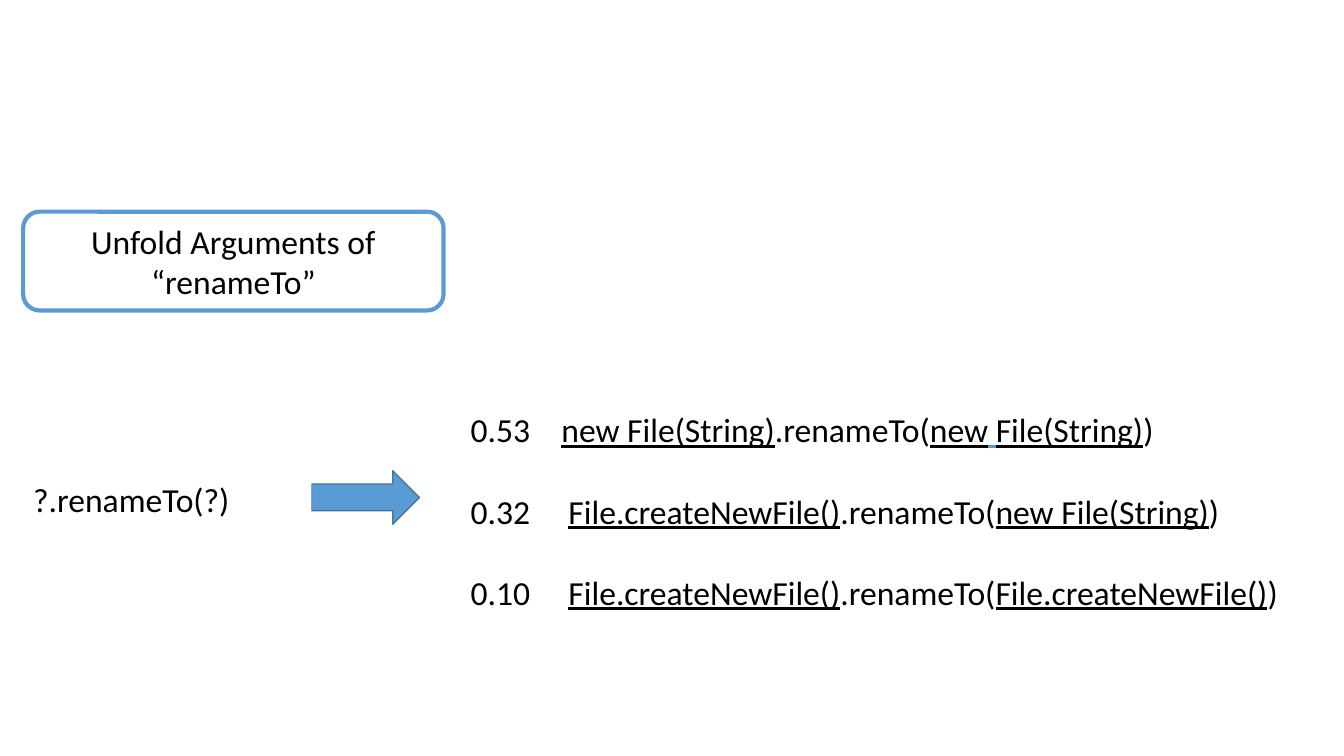
"""Build the slide that unfolds the arguments of renameTo into ranked candidates."""
from typing import NamedTuple

from lxml import etree
from pptx import Presentation
from pptx.dml.color import RGBColor
from pptx.enum.shapes import MSO_SHAPE
from pptx.enum.text import MSO_ANCHOR, PP_ALIGN
from pptx.oxml.ns import qn
from pptx.util import Inches, Pt

ARROW = MSO_SHAPE.RIGHT_ARROW
ROUNDED = MSO_SHAPE.ROUNDED_RECTANGLE
MIDDLE = MSO_ANCHOR.MIDDLE
CENTER = PP_ALIGN.CENTER

BLUE, DARK_BLUE, WHITE, BLACK = "5B9BD5", "43739E", "FFFFFF", "000000"
FONT, TEXT_SIZE, CANDIDATE_GAP = "Calibri", Pt(24), Pt(29.3)


class Box(NamedTuple):
    """Place of an element in inches."""
    left: float
    top: float
    width: float
    height: float

    def lengths(self):
        return [Inches(value) for value in self]


class Piece(NamedTuple):
    """Stretch of code, underlined where an argument was unfolded."""
    text: str
    underlined: bool = False
    color: str = BLACK


class Candidate(NamedTuple):
    """Scored call with the indent of its code in inches."""
    score: str
    indent: float
    receiver: str
    argument: list[Piece]


NEW_FILE, CREATE_FILE = "new File(String)", "File.createNewFile()"
CANDIDATES = [
    Candidate("0.53", 0.9, NEW_FILE,
              [Piece("new", True), Piece(" ", True, BLUE), Piece("File(String)", True)]),
    Candidate("0.32", 0.97, CREATE_FILE, [Piece(NEW_FILE, True)]),
    Candidate("0.10", 0.97, CREATE_FILE, [Piece(CREATE_FILE, True)]),
]


def rgb(color: str) -> RGBColor:
    return RGBColor.from_string(color)


def paint(shape, fill: str) -> None:
    shape.fill.solid()
    shape.fill.fore_color.rgb = rgb(fill)


def add_outlined(slide, preset, box: Box, fill: str, line: str, weight: float):
    shape = slide.shapes.add_shape(preset, *box.lengths())
    shape.shadow.inherit = False
    paint(shape, fill)
    shape.line.color.rgb = rgb(line)
    shape.line.width = Pt(weight)
    return shape


def add_label(slide, box: Box):
    label = slide.shapes.add_textbox(*box.lengths())
    paint(label, WHITE)
    label.text_frame.word_wrap = True
    return label.text_frame


def format_run(run, color: str = BLACK, underlined: bool = False) -> None:
    run.font.name = FONT
    run.font.size = TEXT_SIZE
    run.font.color.rgb = rgb(color)
    run.font.underline = underlined


def write(frame, text: str) -> None:
    frame.text = text
    format_run(frame.paragraphs[0].runs[0])


def add_tab_stop(paragraph, position: float) -> None:
    properties = paragraph._p.get_or_add_pPr()
    stops = etree.SubElement(properties, qn("a:tabLst"))
    etree.SubElement(stops, qn("a:tab"), pos=str(Inches(position)), algn="l")


def write_candidate(paragraph, candidate: Candidate) -> None:
    pieces = [Piece(candidate.score + "\t"), Piece(candidate.receiver, True),
              Piece(".renameTo("), *candidate.argument, Piece(")")]
    for piece in pieces:
        run = paragraph.add_run()
        run.text = piece.text
        format_run(run, piece.color, piece.underlined)
    add_tab_stop(paragraph, candidate.indent)


def main() -> None:
    deck = Presentation()
    deck.slide_width, deck.slide_height = Inches(13.33), Inches(7.5)
    slide = deck.slides.add_slide(deck.slide_layouts[6])

    add_outlined(slide, ARROW, Box(3.09, 4.67, 1.07, 0.53), BLUE, DARK_BLUE, 1)
    write(add_label(slide, Box(0.23, 4.7, 2.86, 0.5)), "?.renameTo(?)")

    step = add_outlined(slide, ROUNDED, Box(0.23, 2.1, 4.17, 0.98), WHITE, BLUE, 3)
    step.text_frame.word_wrap = True
    step.text_frame.vertical_anchor = MIDDLE
    write(step.text_frame, "Unfold Arguments of “renameTo”")
    step.text_frame.paragraphs[0].alignment = CENTER

    ranking = add_label(slide, Box(4.57, 4.01, 8.53, 2.12))
    for index, candidate in enumerate(CANDIDATES):
        paragraph = ranking.add_paragraph() if index else ranking.paragraphs[0]
        paragraph.space_before = CANDIDATE_GAP if index else Pt(0)
        write_candidate(paragraph, candidate)

    deck.save("out.pptx")


main()
